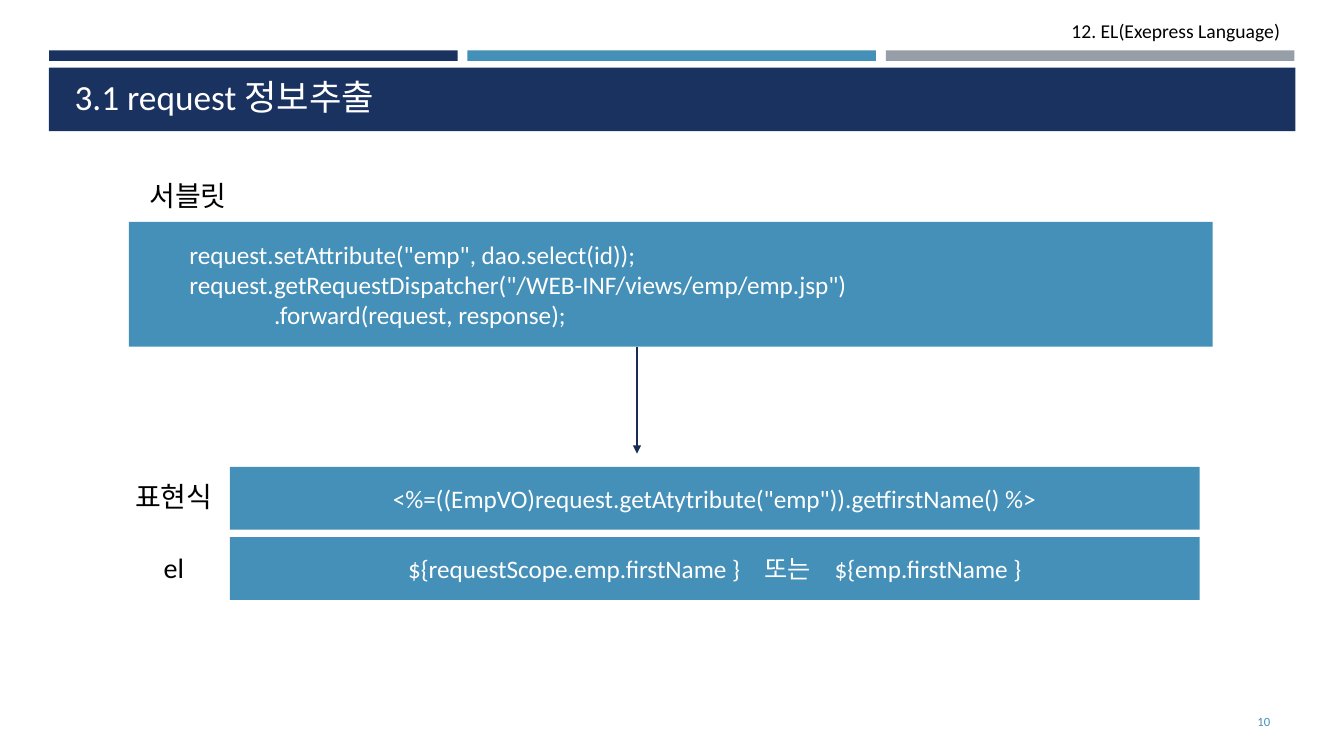
from dataclasses import dataclass
from typing import Optional

from lxml.etree import SubElement
from pptx import Presentation
from pptx.dml.color import RGBColor
from pptx.enum.shapes import MSO_CONNECTOR, MSO_SHAPE
from pptx.enum.text import MSO_ANCHOR, MSO_AUTO_SIZE, PP_ALIGN
from pptx.oxml.ns import qn
from pptx.util import Inches, Pt

NAVY = RGBColor(0x1A, 0x32, 0x60)
BLUE = RGBColor(0x45, 0x90, 0xB8)
GRAY = RGBColor(0x96, 0x9F, 0xA7)
ARROW_NAVY = RGBColor(0x17, 0x2D, 0x56)
BLACK = RGBColor(0, 0, 0)
WHITE = RGBColor(0xFF, 0xFF, 0xFF)
FONT = "Calibri"
SLIDE_WIDTH = Inches(13.33)
SLIDE_HEIGHT = Inches(7.5)


@dataclass(frozen=True)
class Area:
    """A rectangle in percent of the slide's width and height."""
    left: float
    top: float
    width: float
    height: float

    def lengths(self) -> tuple:
        """Return left, top, width and height as slide lengths."""
        return (across(self.left), down(self.top),
                across(self.width), down(self.height))


@dataclass(frozen=True)
class Run:
    """A piece of text with optional extra letter spacing in points."""
    text: str
    spacing: float = 0


@dataclass(frozen=True)
class Line:
    """A paragraph of runs with a left indent in inches."""
    runs: tuple
    indent: float = 0


@dataclass(frozen=True)
class Style:
    """How the text of a shape looks."""
    size: float
    color: RGBColor
    align: PP_ALIGN = PP_ALIGN.CENTER
    anchor: MSO_ANCHOR = MSO_ANCHOR.TOP


@dataclass(frozen=True)
class Example:
    """A labelled way of reading the attribute."""
    label: str
    runs: tuple


CODE = Style(18, WHITE, PP_ALIGN.LEFT, MSO_ANCHOR.MIDDLE)
EXAMPLE = Style(18, WHITE, PP_ALIGN.CENTER, MSO_ANCHOR.MIDDLE)
LABEL = Style(20, BLACK)
TITLE = Style(25.2, WHITE, PP_ALIGN.LEFT, MSO_ANCHOR.BOTTOM)
CHAPTER = Style(14, BLACK, PP_ALIGN.RIGHT)
PAGE_NUMBER = Style(9, BLUE, PP_ALIGN.RIGHT, MSO_ANCHOR.MIDDLE)

CODE_AREA = Area(9.6, 29.35, 80.63, 16.5)
CODE_LINES = (
    Line((Run('request.setAttribute("emp", dao.select(id));'),)),
    Line((Run('request.getRequestDispatcher("/WEB-INF/views/emp/emp.jsp")'),)),
    Line((Run(".forward(request, response);"),), indent=0.84),
)
WIDE_SPACE = Run(" ", spacing=13)
EXAMPLES = (
    Example("표현식", (
        Run('<%=((EmpVO)request.getAtytribute("emp")).getfirstName() %>'),)),
    Example("el", (Run("${requestScope.emp.firstName }"), WIDE_SPACE,
                   Run("또는"), WIDE_SPACE, Run("${emp.firstName }"))),
)
EXAMPLE_PITCH = 9.3
BAR_PITCH = 31.13


def across(percent: float) -> int:
    """Turn a percentage of the slide's width into a length."""
    return round(SLIDE_WIDTH * percent / 100)


def down(percent: float) -> int:
    """Turn a percentage of the slide's height into a length."""
    return round(SLIDE_HEIGHT * percent / 100)


def write(shape, lines: tuple, style: Style) -> None:
    """Fill a shape with styled lines of text."""
    frame = shape.text_frame
    frame.word_wrap = True
    frame.auto_size = MSO_AUTO_SIZE.NONE
    frame.vertical_anchor = style.anchor
    for index, line in enumerate(lines):
        paragraph = frame.add_paragraph() if index else frame.paragraphs[0]
        paragraph.alignment = style.align
        if line.indent:
            paragraph._p.get_or_add_pPr().set("marL", str(Inches(line.indent)))
        for piece in line.runs:
            run = paragraph.add_run()
            run.text = piece.text
            run.font.name = FONT
            run.font.size = Pt(style.size)
            run.font.color.rgb = style.color
            if piece.spacing:
                run._r.get_or_add_rPr().set("spc", str(round(piece.spacing * 100)))


def add_box(slide, area: Area, color: RGBColor, lines: tuple = (),
            style: Optional[Style] = None):
    """Draw a filled rectangle, with text if there is any."""
    box = slide.shapes.add_shape(MSO_SHAPE.RECTANGLE, *area.lengths())
    box.shadow.inherit = False
    box.fill.solid()
    box.fill.fore_color.rgb = color
    box.line.fill.background()
    if style:
        write(box, lines, style)
    return box


def add_text(slide, area: Area, text: str, style: Style) -> None:
    """Place a single line of free text."""
    write(slide.shapes.add_textbox(*area.lengths()), (Line((Run(text),)),), style)


def add_arrow(slide, left: float, top: float, bottom: float) -> None:
    """Draw a downward arrow."""
    arrow = slide.shapes.add_connector(
        MSO_CONNECTOR.STRAIGHT, across(left), down(top), across(left), down(bottom))
    arrow.line.color.rgb = ARROW_NAVY
    arrow.line.width = Pt(1)
    SubElement(arrow.line._get_or_add_ln(), qn("a:tailEnd"), type="triangle")
    SubElement(arrow._element.spPr, qn("a:effectLst"))


def add_heading(slide) -> None:
    """Draw the bars, chapter name, banner and title."""
    for index, color in enumerate((NAVY, BLUE, GRAY)):
        add_box(slide, Area(3.65 + index * BAR_PITCH, 6.67, 30.4, 1.4), color)
    add_text(slide, Area(65.7, 1.87, 30.3, 4.53), "12. EL(Exepress Language)", CHAPTER)
    add_box(slide, Area(3.63, 8.95, 92.75, 8.4), NAVY)
    title = slide.shapes.title
    title.left, title.top, title.width, title.height = Area(
        4.8, 10.27, 90.45, 6).lengths()
    write(title, (Line((Run("3.1 request 정보추출"),)),), TITLE)
    title.element.getparent().append(title.element)


def add_content(slide) -> None:
    """Draw the servlet code, the arrow and the labelled examples."""
    add_text(slide, Area(9.75, 22.93, 8.48, 5.87), "서블릿", LABEL)
    code = add_box(slide, CODE_AREA, BLUE, CODE_LINES, CODE)
    code.text_frame.margin_left = Inches(0.6)
    add_arrow(slide, 47.4, CODE_AREA.top + CODE_AREA.height, 60)
    for index, example in enumerate(EXAMPLES):
        offset = index * EXAMPLE_PITCH
        add_text(slide, Area(8.7, 62.8 + offset, 8.48, 5.87), example.label, LABEL)
        add_box(slide, Area(17.1, 61.75 + offset, 72.15, 8.3), BLUE,
                (Line(example.runs),), EXAMPLE)


def main() -> None:
    """Build and save the presentation."""
    presentation = Presentation()
    presentation.slide_width = SLIDE_WIDTH
    presentation.slide_height = SLIDE_HEIGHT
    slide = presentation.slides.add_slide(presentation.slide_layouts[5])
    add_heading(slide)
    add_content(slide)
    add_text(slide, Area(86.62, 92.8, 8.63, 5.33), "10", PAGE_NUMBER)
    presentation.save("out.pptx")


main()
